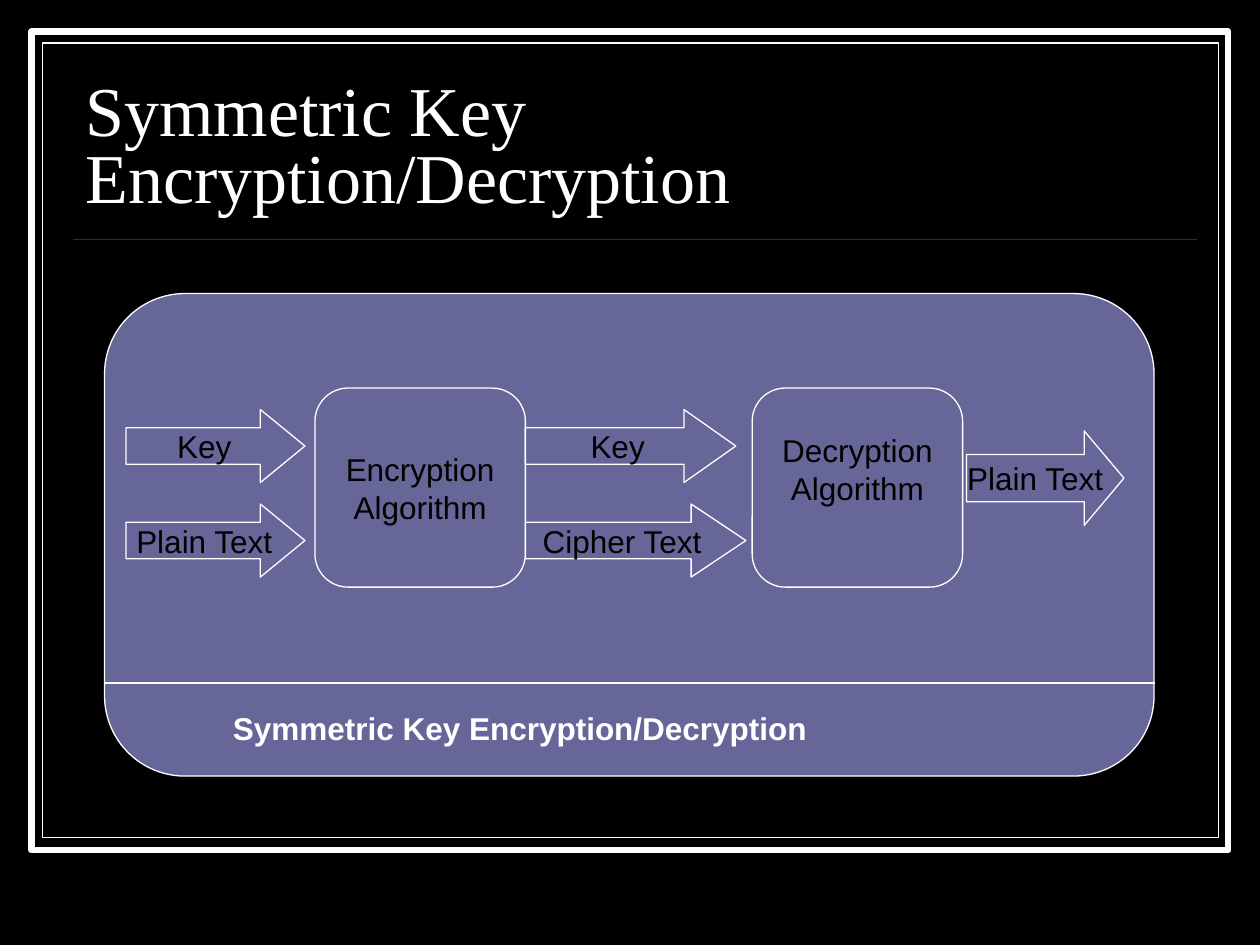
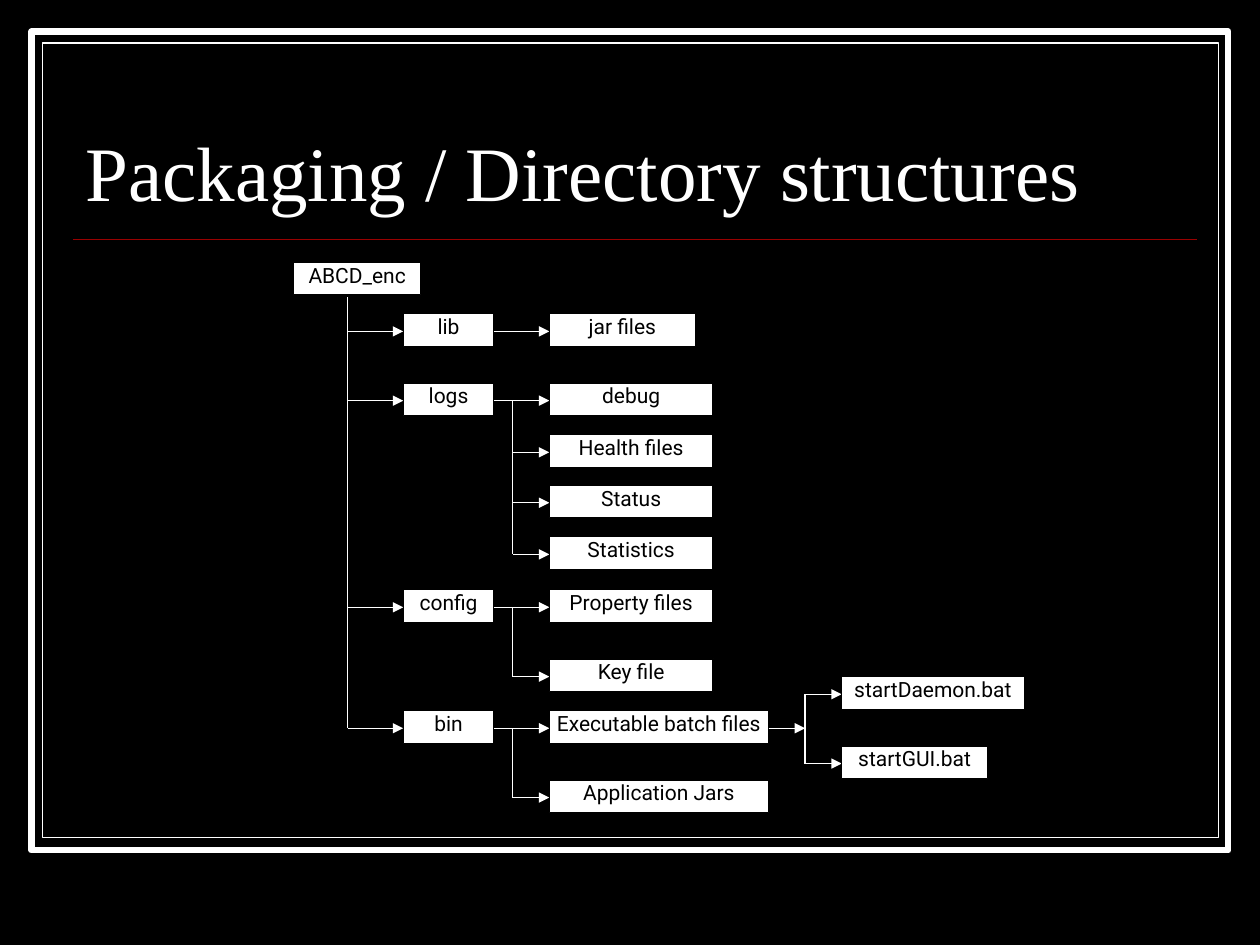
"""Build two slides on symmetric encryption and on packaging."""
import pptx
import pptx.dml.color
import pptx.enum.shapes
import pptx.enum.text
import pptx.oxml
import pptx.oxml.ns
import pptx.util
from lxml import etree

Inches = pptx.util.Inches
Pt = pptx.util.Pt
SHAPE = pptx.enum.shapes.MSO_SHAPE
ALIGN = pptx.enum.text.PP_ALIGN
ANCHOR = pptx.enum.text.MSO_ANCHOR
qn = pptx.oxml.ns.qn

COLORS = {"black": "000000", "white": "FFFFFF", "rule": "990000", "panel": "666699"}
TEXT_SHADOW = (
    f'<a:effectLst {pptx.oxml.ns.nsdecls("a")}>'
    '<a:outerShdw dist="25400" dir="2700000">'
    f'<a:srgbClr val="{COLORS["black"]}"/></a:outerShdw></a:effectLst>'
)


def color(name):
    """Return the named colour."""
    return pptx.dml.color.RGBColor.from_string(COLORS[name])


def write(box, text, *, size, font="Arial", ink="black", bold=False, align=ALIGN.CENTER,
          anchor=ANCHOR.MIDDLE, wrap=True, insets=(0.1, 0.05, 0.1, 0.05),
          spacing=None, shadow=False):
    """Fill a box with text, one paragraph for each line."""
    frame = box.text_frame
    frame.auto_size = pptx.enum.text.MSO_AUTO_SIZE.NONE
    frame.word_wrap = wrap
    frame.vertical_anchor = anchor
    (frame.margin_left, frame.margin_top,
     frame.margin_right, frame.margin_bottom) = map(Inches, insets)
    for index, line in enumerate(text.split("\n")):
        para = frame.add_paragraph() if index else frame.paragraphs[0]
        para.alignment = align
        if spacing:
            para.line_spacing = spacing
        span = para.add_run()
        span.text = line
        span.font.name = font
        span.font.size = Pt(size)
        span.font.bold = bold
        span.font.color.rgb = color(ink)
        if shadow:
            fill = span.font._element.find(qn("a:solidFill"))
            fill.addnext(pptx.oxml.parse_xml(TEXT_SHADOW))


class Builder:
    """Hold the deck style and the current page."""

    def __init__(self):
        """Start an empty deck."""
        self.deck = pptx.Presentation()
        self.deck.slide_width = Inches(10)
        self.deck.slide_height = Inches(7.5)
        self.page = None

    def start_page(self, title, size):
        """Add a page with its background, frame, rule and title."""
        self.page = self.deck.slides.add_slide(self.deck.slide_layouts[5])
        background = self.page.background.fill
        background.solid()
        background.fore_color.rgb = color("black")
        self.shape(SHAPE.RECTANGLE, 0.25, 0.25, 9.5, 6.5, fill=None, weight=3.5)
        self.shape(SHAPE.RECTANGLE, 0.34, 0.34, 9.33, 6.31, fill=None)
        self.line(0.58, 1.9, 9.5, 1.9, ink="rule", weight=1)
        box = self.page.shapes.title
        box.left, box.top, box.width, box.height = map(Inches, (0.58, 0.52, 8.85, 1.25))
        write(box, title, size=size, font="Times New Roman", ink="white",
              align=ALIGN.LEFT, anchor=ANCHOR.BOTTOM, spacing=0.8)

    def shape(self, kind, left, top, width, height, fill="panel", line="white", weight=0.75):
        """Add a preset shape."""
        box = self.page.shapes.add_shape(kind, *map(Inches, (left, top, width, height)))
        box.shadow.inherit = False
        if fill:
            box.fill.solid()
            box.fill.fore_color.rgb = color(fill)
        else:
            box.fill.background()
        box.line.color.rgb = color(line)
        box.line.width = Pt(weight)
        return box

    def line(self, x1, y1, x2, y2, ink="white", weight=0.75, arrow=False):
        """Add a straight line, with an arrowhead on request."""
        link = self.page.shapes.add_connector(
            pptx.enum.shapes.MSO_CONNECTOR.STRAIGHT, *map(Inches, (x1, y1, x2, y2)))
        link.line.color.rgb = color(ink)
        link.line.width = Pt(weight)
        properties = link._element.spPr
        if arrow:
            etree.SubElement(properties.find(qn("a:ln")), qn("a:tailEnd"), type="triangle")
        etree.SubElement(properties, qn("a:effectLst"))

    def algorithm(self, text, left, bottom_inset=0.05):
        """Add a rounded algorithm box."""
        box = self.shape(SHAPE.FLOWCHART_ALTERNATE_PROCESS, left, 3.08, 1.67, 1.58)
        write(box, text, size=18, wrap=False, insets=(0.1, 0.05, 0.1, bottom_inset))

    def flow_arrow(self, text, left, top, width, height, head):
        """Add a labelled block arrow."""
        box = self.shape(SHAPE.RIGHT_ARROW, left, top, width, height)
        box.adjustments[0] = 0.5
        box.adjustments[1] = head
        write(box, text, size=18, wrap=False)

    def caption(self, text, left, top, width, height):
        """Add a bold shadowed caption."""
        box = self.page.shapes.add_textbox(*map(Inches, (left, top, width, height)))
        write(box, text, size=18, ink="white", bold=True, align=ALIGN.LEFT,
              anchor=ANCHOR.TOP, shadow=True)

    def node(self, text, left, top, width):
        """Add a directory tree node."""
        box = self.shape(SHAPE.RECTANGLE, left, top, width, 0.26, fill="white", line="black")
        write(box, text, size=12, font="Roboto", anchor=ANCHOR.TOP, insets=(0, 0, 0, 0))

    def branch(self, trunk, left, children):
        """Link a trunk to a column of (text, top, width) nodes."""
        levels = [top + 0.14 for _, top, _ in children]
        if len(levels) > 1:
            self.line(trunk, levels[0], trunk, levels[-1])
        for (text, top, width), level in zip(children, levels):
            self.line(trunk, level, left, level, arrow=True)
            self.node(text, left, top, width)


def build_encryption(builder):
    """Draw the encryption and decryption flow."""
    title = "Symmetric Key Encryption/Decryption"
    builder.start_page(title, 40)
    builder.shape(SHAPE.FLOWCHART_ALTERNATE_PROCESS, 0.83, 2.33, 8.33, 3.83)
    builder.line(0.83, 5.42, 9.17, 5.42)
    builder.algorithm("Encryption\nAlgorithm", 2.5)
    builder.algorithm("Decryption\nAlgorithm", 5.97, bottom_inset=0.34)
    for arrow in (
        ("Key", 1, 3.25, 1.42, 0.58, 0.61),
        ("Plain Text", 1, 4, 1.42, 0.58, 0.61),
        ("Plain Text", 7.67, 3.42, 1.25, 0.75, 0.42),
        ("Key", 4.17, 3.25, 1.67, 0.58, 0.71),
        ("Cipher Text", 4.17, 4, 1.75, 0.58, 0.75),
    ):
        builder.flow_arrow(*arrow)
    builder.caption(title, 1.75, 5.58, 6.42, 0.4)


def build_directories(builder):
    """Draw the directory tree."""
    builder.start_page("Packaging / Directory structures", 44)
    root_trunk, folder_left, folder_width = 2.76, 3.2, 0.72
    leaf_trunk, leaf_left = 4.07, 4.36
    script_trunk, script_left = 6.39, 6.68
    folders = {
        "lib": (1.16, {"jar files": 2.49}),
        "logs": (1.3, {"debug": 3.04, "Health files": 3.45, "Status": 3.85,
                       "Statistics": 4.26}),
        "config": (1.3, {"Property files": 4.68, "Key file": 5.23}),
        "bin": (1.74, {"Executable batch files": 5.64, "Application Jars": 6.19}),
    }
    builder.node("ABCD_enc", 2.33, 2.08, 1.01)
    builder.line(root_trunk, 2.36, root_trunk, 2.63)
    tops = {name: min(files.values()) for name, (_, files) in folders.items()}
    builder.branch(root_trunk, folder_left,
                   [(name, top, folder_width) for name, top in tops.items()])
    for name, (width, files) in folders.items():
        level = tops[name] + 0.14
        builder.line(folder_left + folder_width, level, leaf_trunk, level)
        builder.branch(leaf_trunk, leaf_left,
                       [(text, top, width) for text, top in files.items()])
    builder.line(6.1, 5.78, script_trunk, 5.78, arrow=True)
    builder.branch(script_trunk, script_left,
                   [("startDaemon.bat", 5.37, 1.45), ("startGUI.bat", 5.92, 1.16)])


def main():
    """Build and save the deck."""
    builder = Builder()
    build_encryption(builder)
    build_directories(builder)
    builder.deck.save("out.pptx")


if __name__ == "__main__":
    main()
